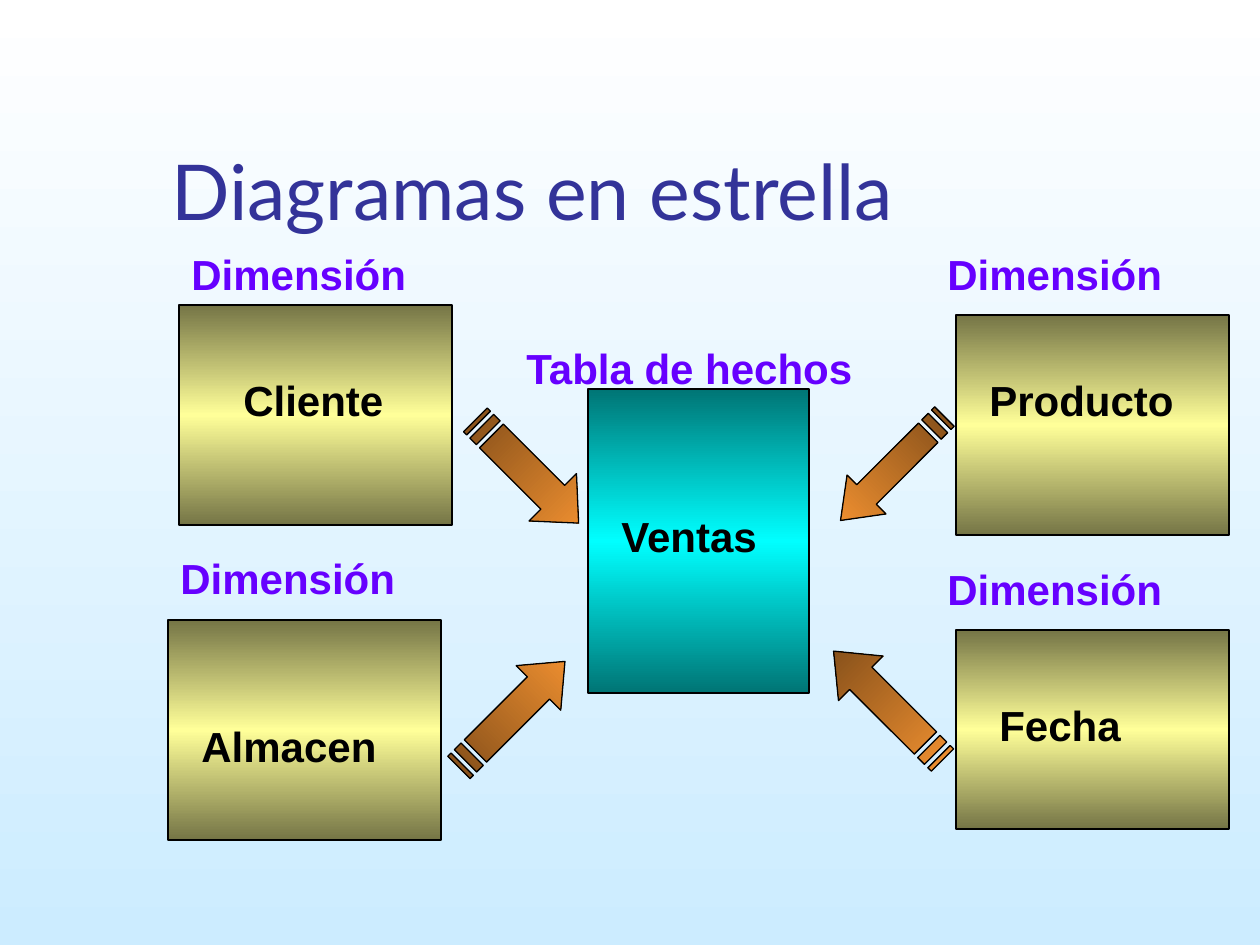
from copy import deepcopy
from pptx import Presentation
from pptx.dml.color import RGBColor
from pptx.enum.shapes import MSO_SHAPE
from pptx.enum.text import MSO_ANCHOR
from pptx.oxml.ns import qn
from pptx.util import Pt

PX = 914400 / 126
COLORS = {
    "title": "333399", "label": "6600FF", "black": "000000",
    "white": "FFFFFF", "sky": "CCECFF",
    "teal": "007575", "cyan": "00FFFF",
    "olive": "757546", "yellow": "FFFF99",
    "brown": "754617", "orange": "FF9933",
}


def set_gradient(fill, element, names, angle):
    fill.gradient()
    fill.gradient_angle = angle
    stop_list = next(element.iter(qn("a:gsLst")))
    while len(stop_list) < len(names):
        stop_list.append(deepcopy(stop_list[-1]))
    for index, (stop, name) in enumerate(zip(fill.gradient_stops, names)):
        stop.color.rgb = RGBColor.from_string(COLORS[name])
        stop.position = index / (len(names) - 1)


def add_text(page, text, place, color, size=24, font="Arial", bold=True, anchor=MSO_ANCHOR.TOP):
    box = page.shapes.add_textbox(*[round(value * PX) for value in place])
    frame = box.text_frame
    frame.word_wrap = True
    frame.vertical_anchor = anchor
    span = frame.paragraphs[0].add_run()
    span.text = text
    span.font.size = Pt(size)
    span.font.name = font
    span.font.bold = bold
    span.font.color.rgb = RGBColor.from_string(COLORS[color])


deck = Presentation()
deck.slide_width = round(1260 * PX)
deck.slide_height = round(945 * PX)
page = deck.slides.add_slide(deck.slide_layouts[6])
set_gradient(page.background.fill, page._element, ["white", "sky"], 270)

add_text(page, "Diagramas en estrella", (159, 84, 1073, 158), "title",
         size=44, font="Lato", bold=False, anchor=MSO_ANCHOR.BOTTOM)

facts = ["teal", "cyan", "teal"]
dimension = ["olive", "yellow", "olive"]
tables = [
    ("Tabla de hechos", (514, 336, 357), "Ventas", (609, 504, 168), (588, 389, 221, 304), facts),
    ("Dimensión", (179, 242, 262), "Cliente", (231, 368, 200), (179, 305, 273, 220), dimension),
    ("Dimensión", (168, 546, 325), "Almacen", (189, 714, 210), (168, 620, 273, 220), dimension),
    ("Dimensión", (935, 557, 325), "Fecha", (987, 693, 179), (956, 630, 273, 199), dimension),
    ("Dimensión", (935, 242, 325), "Producto", (977, 368, 252), (956, 315, 273, 220), dimension),
]
for label, label_place, name, name_place, place, shades in tables:
    add_text(page, label, (*label_place, 63), "label")
    table_box = page.shapes.add_shape(MSO_SHAPE.RECTANGLE, *[round(value * PX) for value in place])
    table_box.shadow.inherit = False
    set_gradient(table_box.fill, table_box._element, shades, 270)
    table_box.line.color.rgb = RGBColor.from_string(COLORS["black"])
    table_box.line.width = Pt(0.75)
    add_text(page, name, (*name_place, 63), "black")

arrow_outlines = [
    [(0, 1), (1, 1), (1, 3), (0, 3)],
    [(2, 1), (4, 1), (4, 3), (2, 3)],
    [(5, 1), (24, 1), (24, 0), (32, 2), (24, 4), (24, 3), (5, 3)],
]
arrows = [
    ((454, 438, 146, 67), 45, ["brown", "orange"]),
    ((811, 674, 154, 63), 225, ["orange", "brown"]),
    ((819, 441, 147, 55), 135, ["brown", "orange"]),
    ((437, 683, 150, 63), 315, ["brown", "orange"]),
]
for (left, top, width, height), rotation, shades in arrows:
    builder = page.shapes.build_freeform(*arrow_outlines[0][0], scale=(width * PX / 32, height * PX / 4))
    builder.add_line_segments(arrow_outlines[0][1:])
    for outline in arrow_outlines[1:]:
        builder.move_to(*outline[0])
        builder.add_line_segments(outline[1:])
    arrow = builder.convert_to_shape(round(left * PX), round(top * PX))
    arrow.rotation = rotation
    arrow.shadow.inherit = False
    set_gradient(arrow.fill, arrow._element, shades, 0)
    arrow.line.color.rgb = RGBColor.from_string(COLORS["black"])
    arrow.line.width = Pt(0.75)

deck.save("out.pptx")
